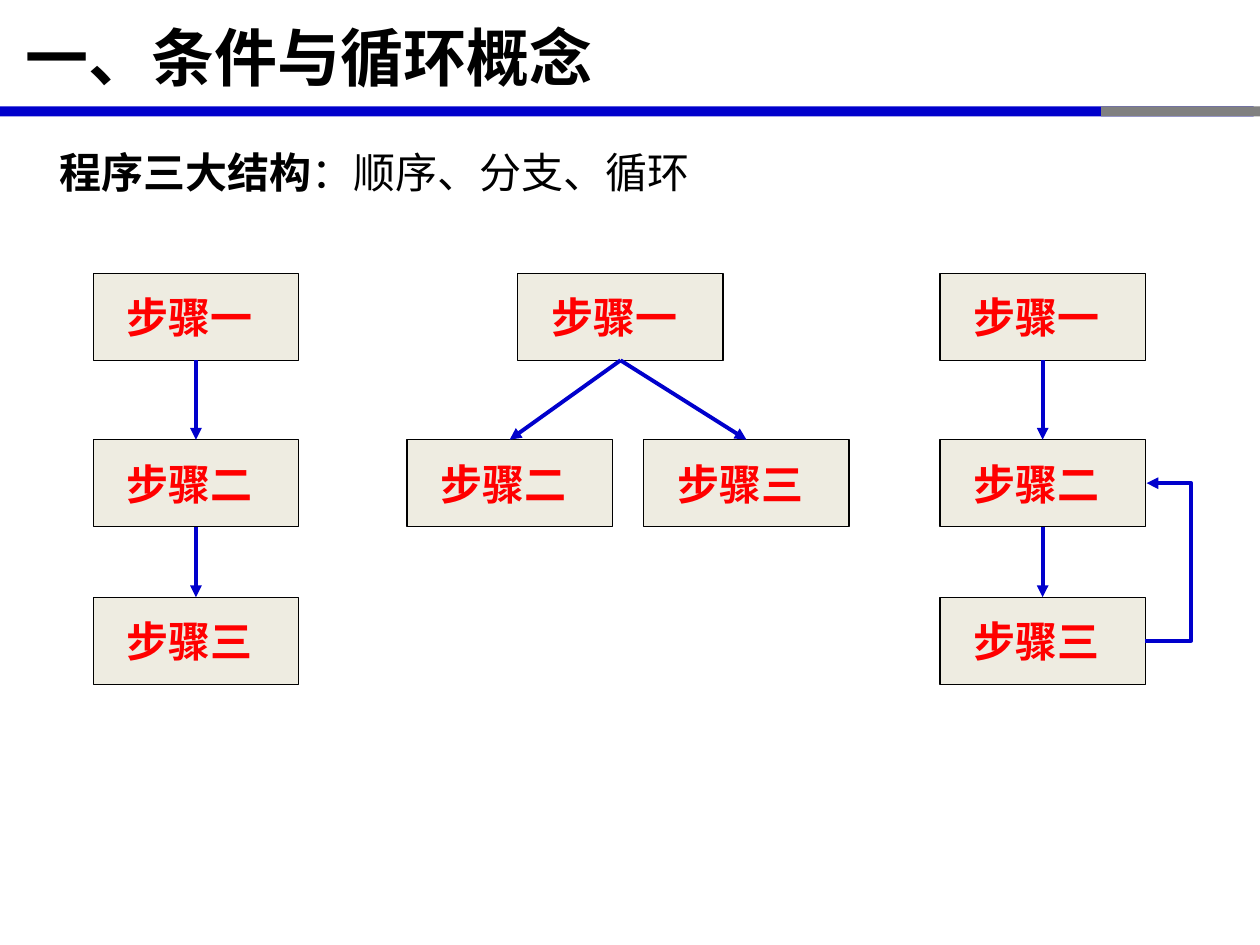
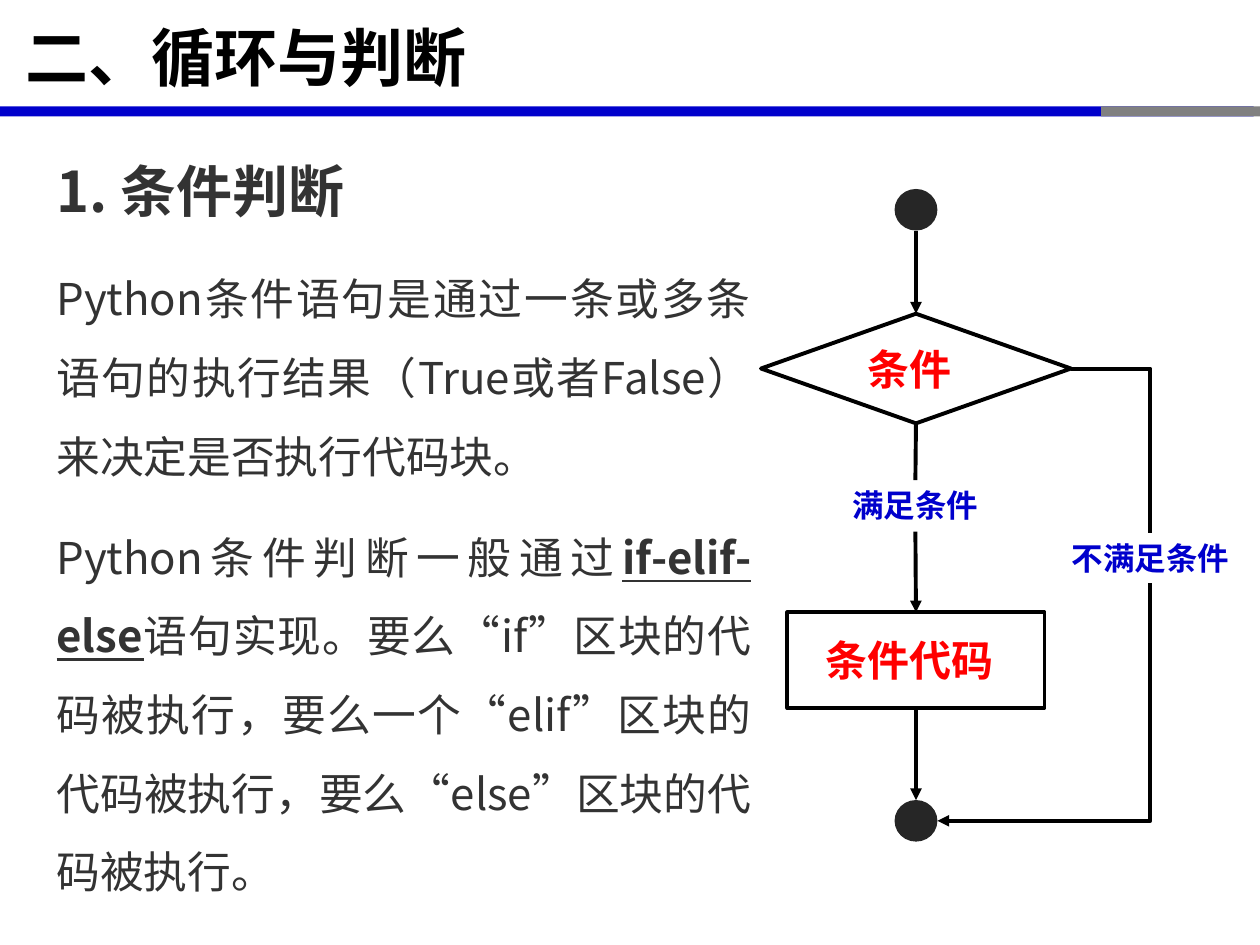
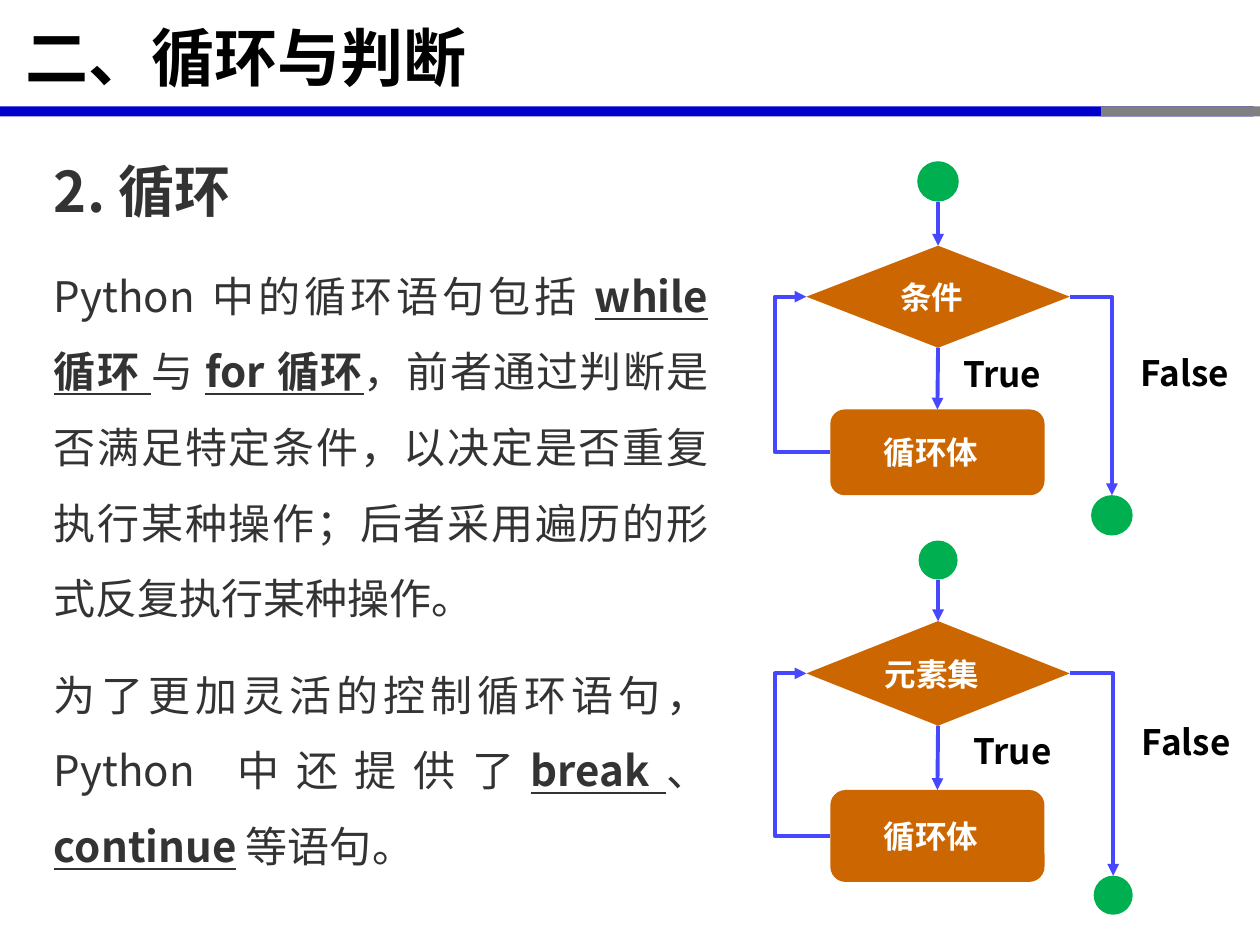
from typing import NamedTuple, Optional

from lxml.etree import SubElement
from pptx import Presentation
from pptx.dml.color import RGBColor
from pptx.enum.shapes import MSO_CONNECTOR, MSO_SHAPE
from pptx.enum.text import MSO_ANCHOR, MSO_AUTO_SIZE, PP_ALIGN
from pptx.oxml.ns import qn
from pptx.util import Inches, Pt

# The slide is a grid of 100 columns by 75 rows of square cells.
SLIDE_WIDTH, SLIDE_HEIGHT = Inches(10), Inches(7.5)
CELL = SLIDE_WIDTH // 100
FONT = "Noto Sans CJK SC"
COLORS = {
    "black": "000000", "white": "FFFFFF", "body": "333333", "red": "FF0000",
    "blue": "0000CC", "gray": "808080", "cream": "EEECE1", "charcoal": "262626",
    "green": "00B050", "orange": "CC6600", "violet": "4747FF",
}
TOP, BOTTOM = 0, 2


class Box(NamedTuple):
    """A place on the grid, in cells."""
    left: float
    top: float
    width: float
    height: float

    @property
    def center(self):
        return self.left + self.width / 2

    @property
    def middle(self):
        return self.top + self.height / 2

    @property
    def right(self):
        return self.left + self.width

    @property
    def bottom(self):
        return self.top + self.height

    def lengths(self):
        return [cells(value) for value in self]


class TextStyle(NamedTuple):
    size: float
    color: str
    bold: bool = True
    align: PP_ALIGN = PP_ALIGN.CENTER
    line_spacing: Optional[float] = None


class NodeStyle(NamedTuple):
    kind: MSO_SHAPE
    fill: Optional[str] = None
    line: Optional[str] = None
    line_width: float = 2.25
    text: Optional[TextStyle] = None


class LoopChart(NamedTuple):
    condition: str
    start: Box
    decision: Box
    body: Box
    end: Box
    true_label: Box
    false_label: Box


TITLE = TextStyle(36, "black", align=PP_ALIGN.LEFT)
LEAD = TextStyle(24, "black", False, PP_ALIGN.JUSTIFY)
HEADING = TextStyle(32, "body", True, PP_ALIGN.JUSTIFY, 1.5)
BRANCH_LABEL = TextStyle(18, "blue")
LOOP_LABEL = TextStyle(20, "black")
RED_TEXT = TextStyle(24, "red")
WHITE_TEXT = TextStyle(18, "white")

STEP = NodeStyle(MSO_SHAPE.RECTANGLE, "cream", "black", 0.75, RED_TEXT)
OUTLINED_CODE = NodeStyle(MSO_SHAPE.RECTANGLE, line="black", text=RED_TEXT)
OUTLINED_DECISION = NodeStyle(MSO_SHAPE.DIAMOND, line="black", text=RED_TEXT)
DARK_DOT = NodeStyle(MSO_SHAPE.OVAL, "charcoal")
GREEN_DOT = NodeStyle(MSO_SHAPE.OVAL, "green")
LOOP_DECISION = NodeStyle(MSO_SHAPE.DIAMOND, "orange", text=WHITE_TEXT)
LOOP_BODY = NodeStyle(MSO_SHAPE.ROUNDED_RECTANGLE, "orange", text=WHITE_TEXT)


def cells(count: float) -> int:
    return round(count * CELL)


def color(name: str) -> RGBColor:
    return RGBColor.from_string(COLORS[name])


def write(paragraph, text: str, style: TextStyle, underline: bool = True) -> None:
    """Fill a paragraph; parts between asterisks are bold and, if asked, underlined."""
    paragraph.alignment = style.align
    paragraph.line_spacing = style.line_spacing
    font = paragraph.font
    font.size, font.bold, font.name = Pt(style.size), style.bold, FONT
    font.color.rgb = color(style.color)
    default_run = paragraph._p.pPr.find(qn("a:defRPr"))
    SubElement(default_run, qn("a:ea")).set("typeface", FONT)
    for index, part in enumerate(text.split("*")):
        run = paragraph.add_run()
        run.text = part
        if index % 2:
            run.font.bold = True
            run.font.underline = underline or None


def add_text(slide, box: Box, lines, underline: bool = True, wrap: bool = True):
    """Add a text box holding (text, style) lines."""
    shape = slide.shapes.add_textbox(*box.lengths())
    frame = shape.text_frame
    frame.word_wrap = wrap
    frame.auto_size = MSO_AUTO_SIZE.SHAPE_TO_FIT_TEXT
    for index, (text, style) in enumerate(lines):
        paragraph = frame.add_paragraph() if index else frame.paragraphs[0]
        write(paragraph, text, style, underline)
        if index:
            paragraph.space_before = Pt(style.size / 2)
    return shape


def add_node(slide, box: Box, style: NodeStyle, text: str = ""):
    shape = slide.shapes.add_shape(style.kind, *box.lengths())
    shape.shadow.inherit = False
    if style.fill:
        shape.fill.solid()
        shape.fill.fore_color.rgb = color(style.fill)
    else:
        shape.fill.background()
    if style.line:
        shape.line.color.rgb = color(style.line)
        shape.line.width = Pt(style.line_width)
    else:
        shape.line.fill.background()
    if text:
        frame = shape.text_frame
        frame.margin_left = 0
        frame.vertical_anchor = MSO_ANCHOR.MIDDLE
        write(frame.paragraphs[0], text, style.text)
    return shape


def add_line(slide, kind, start, end, line_color: str, arrow: Optional[str]):
    """Add a connector between grid points; arrow is "headEnd", "tailEnd" or None."""
    points = [cells(value) for value in (*start, *end)]
    connector = slide.shapes.add_connector(kind, *points)
    connector.line.color.rgb = color(line_color)
    connector.line.width = Pt(2.25)
    if arrow:
        SubElement(connector.line._get_or_add_ln(), qn(f"a:{arrow}")).set("type", "triangle")
    SubElement(connector.element.spPr, qn("a:effectLst"))
    return connector


def join(slide, upper, lower, line_color: str, arrow: Optional[str] = "tailEnd") -> None:
    """Run a straight line from the bottom of one shape to the top of another."""
    start = ((upper.left + upper.width / 2) / CELL, (upper.top + upper.height) / CELL)
    end = ((lower.left + lower.width / 2) / CELL, lower.top / CELL)
    connector = add_line(slide, MSO_CONNECTOR.STRAIGHT, start, end, line_color, arrow)
    # An oval numbers its connection sites differently below the top.
    is_oval = 'prst="ellipse"' in upper.element.xml
    if not is_oval:
        connector.begin_connect(upper, BOTTOM)
    connector.end_connect(lower, TOP)


def add_corner(slide, start, end, line_color: str, arrow: Optional[str] = None) -> None:
    """Run sideways from start, then up or down to end."""
    connector = add_line(slide, MSO_CONNECTOR.ELBOW, start, end, line_color, arrow)
    connector.element.spPr.find(qn("a:prstGeom")).set("prst", "bentConnector2")


def add_detour(slide, start, end, turn: float, line_color: str) -> None:
    """Run from start to end by way of the column named turn."""
    connector = add_line(slide, MSO_CONNECTOR.ELBOW, start, end, line_color, "tailEnd")
    geometry = connector.element.spPr.find(qn("a:prstGeom"))
    adjustments = geometry.find(qn("a:avLst"))
    if adjustments is None:
        adjustments = SubElement(geometry, qn("a:avLst"))
    guide = SubElement(adjustments, qn("a:gd"))
    share = (turn - start[0]) / (end[0] - start[0])
    guide.set("name", "adj1")
    guide.set("fmla", f"val {round(share * 100000)}")


def add_titled_slide(presentation, layout, title: str):
    slide = presentation.slides.add_slide(layout)
    frame = slide.shapes.title.text_frame
    frame.auto_size = MSO_AUTO_SIZE.NONE
    frame.vertical_anchor = MSO_ANCHOR.MIDDLE
    frame.margin_left = cells(2)
    write(frame.paragraphs[0], title, TITLE)
    return slide


def prepare_layout(layout, slide) -> None:
    """Place the title and the two bands, drawn on the slide, in the layout."""
    title = layout.placeholders[0]
    title.left, title.top, title.width, title.height = Box(0, 0.1, 98.6, 8.7).lengths()
    for left, width, fill in ((0, 99.5, "blue"), (87.4, 12.6, "gray")):
        band = add_node(slide, Box(left, 8.45, width, 0.8),
                        NodeStyle(MSO_SHAPE.RECTANGLE, fill))
        layout.shapes.element.append(band.element)


def draw_structures(slide) -> None:
    add_text(slide, Box(3.7, 11.1, 57.1, 5),
             [("*程序三大结构*：顺序、分支、循环", LEAD)], underline=False)
    names = ("步骤一", "步骤二", "步骤三")
    rows = (21.7, 34.9, 47.4)

    def add_steps(places):
        boxes = [Box(left, top, 16.3, 6.9) for left, top in places]
        return boxes, [add_node(slide, box, STEP, name) for box, name in zip(boxes, names)]

    for left in (7.4, 74.6):
        boxes, steps = add_steps([(left, top) for top in rows])
        for upper, lower in zip(steps, steps[1:]):
            join(slide, upper, lower, "blue")
    second, third = boxes[1:]
    add_detour(slide, (third.right, third.middle), (second.right + 0.1, second.middle),
               94.6, "blue")

    _, (first, *branches) = add_steps([(41.1, rows[0]), (32.3, rows[1]), (51.1, rows[1])])
    for branch in branches:
        join(slide, first, branch, "blue")


def draw_condition(slide) -> None:
    text = TextStyle(25, "body", False, PP_ALIGN.JUSTIFY, 1.5)
    add_text(slide, Box(3.5, 9.3, 57.1, 63), [
        ("1. 条件判断", HEADING),
        ("Python条件语句是通过一条或多条语句的执行结果（True或者False）"
         "来决定是否执行代码块。", text),
        ("Python条件判断一般通过*if-elif-else*语句实现。要么“if”区块的代码被执行，"
         "要么一个“elif”区块的代码被执行，要么“else”区块的代码被执行。", text),
    ])
    decision_box = Box(60.4, 24.9, 24.6, 8.7)
    end_box = Box(71, 63.5, 3.4, 3.3)
    skip_box = Box(84, 42.3, 14.6, 4)
    code = add_node(slide, Box(62.5, 48.6, 20.4, 7.6), OUTLINED_CODE, "条件代码")
    decision = add_node(slide, decision_box, OUTLINED_DECISION, "条件")
    start = add_node(slide, end_box._replace(top=15), DARK_DOT)
    end = add_node(slide, end_box, DARK_DOT)
    met = add_text(slide, Box(64.2, 38.1, 16.9, 4.1), [("满足条件", BRANCH_LABEL)])
    add_text(slide, skip_box, [("不满足条件", BRANCH_LABEL)], wrap=False)

    join(slide, start, decision, "black")
    join(slide, decision, met, "black", arrow=None)
    join(slide, met, code, "black")
    join(slide, code, end, "black")
    add_corner(slide, (decision_box.right, decision_box.middle),
               (skip_box.center, skip_box.top), "black")
    add_corner(slide, (end_box.right, end_box.middle),
               (skip_box.center, skip_box.bottom), "black", "headEnd")


def draw_loop_chart(slide, chart: LoopChart) -> None:
    start = add_node(slide, chart.start, GREEN_DOT)
    decision = add_node(slide, chart.decision, LOOP_DECISION, chart.condition)
    body = add_node(slide, chart.body, LOOP_BODY, "循环体")
    add_node(slide, chart.end, GREEN_DOT)
    join(slide, start, decision, "violet")
    join(slide, decision, body, "violet")
    add_detour(slide, (chart.body.left, chart.body.middle),
               (chart.decision.left, chart.decision.middle), 61.5, "violet")
    add_corner(slide, (chart.decision.right, chart.decision.middle),
               (chart.end.center, chart.end.top), "violet", "tailEnd")
    add_text(slide, chart.true_label, [("True", LOOP_LABEL)], wrap=False)
    add_text(slide, chart.false_label, [("False", LOOP_LABEL)])


def draw_loops(slide) -> None:
    text = TextStyle(24, "body", False, PP_ALIGN.JUSTIFY, 1.5)
    add_text(slide, Box(3.3, 9.3, 53.9, 60.9), [
        ("2. 循环", HEADING),
        ("Python 中的循环语句包括 *while 循环 *与 *for 循环*，前者通过判断是否满足特定条件，"
         "以决定是否重复执行某种操作；后者采用遍历的形式反复执行某种操作。", text),
        ("为了更加灵活的控制循环语句，Python 中还提供了*break*、*continue* 等语句。", text),
    ])
    charts = (
        LoopChart("元素集", Box(72.9, 42.9, 3.1, 3.1), Box(64, 49.3, 20.9, 8.3),
                  Box(65.9, 62.7, 17, 7.3), Box(86.8, 69.5, 3.1, 3.1),
                  Box(75.4, 57.4, 9.9, 5.3), Box(88.3, 56.7, 11.7, 5.3)),
        LoopChart("条件", Box(72.8, 12.8, 3.3, 3.2), Box(64, 19.5, 20.9, 8.1),
                  Box(65.9, 32.5, 17, 6.8), Box(86.6, 39.3, 3.3, 3.2),
                  Box(74.6, 27.5, 9.9, 5.1), Box(88.2, 27.4, 11.7, 5.1)),
    )
    for chart in charts:
        draw_loop_chart(slide, chart)


def main() -> None:
    presentation = Presentation()
    presentation.slide_width, presentation.slide_height = SLIDE_WIDTH, SLIDE_HEIGHT
    layout = presentation.slide_layouts.get_by_name("Title Only")
    pages = (
        ("一、条件与循环概念", draw_structures),
        ("二、循环与判断", draw_condition),
        ("二、循环与判断", draw_loops),
    )
    for index, (title, draw) in enumerate(pages):
        slide = add_titled_slide(presentation, layout, title)
        if index == 0:
            prepare_layout(layout, slide)
        draw(slide)
    presentation.save("out.pptx")


if __name__ == "__main__":
    main()
